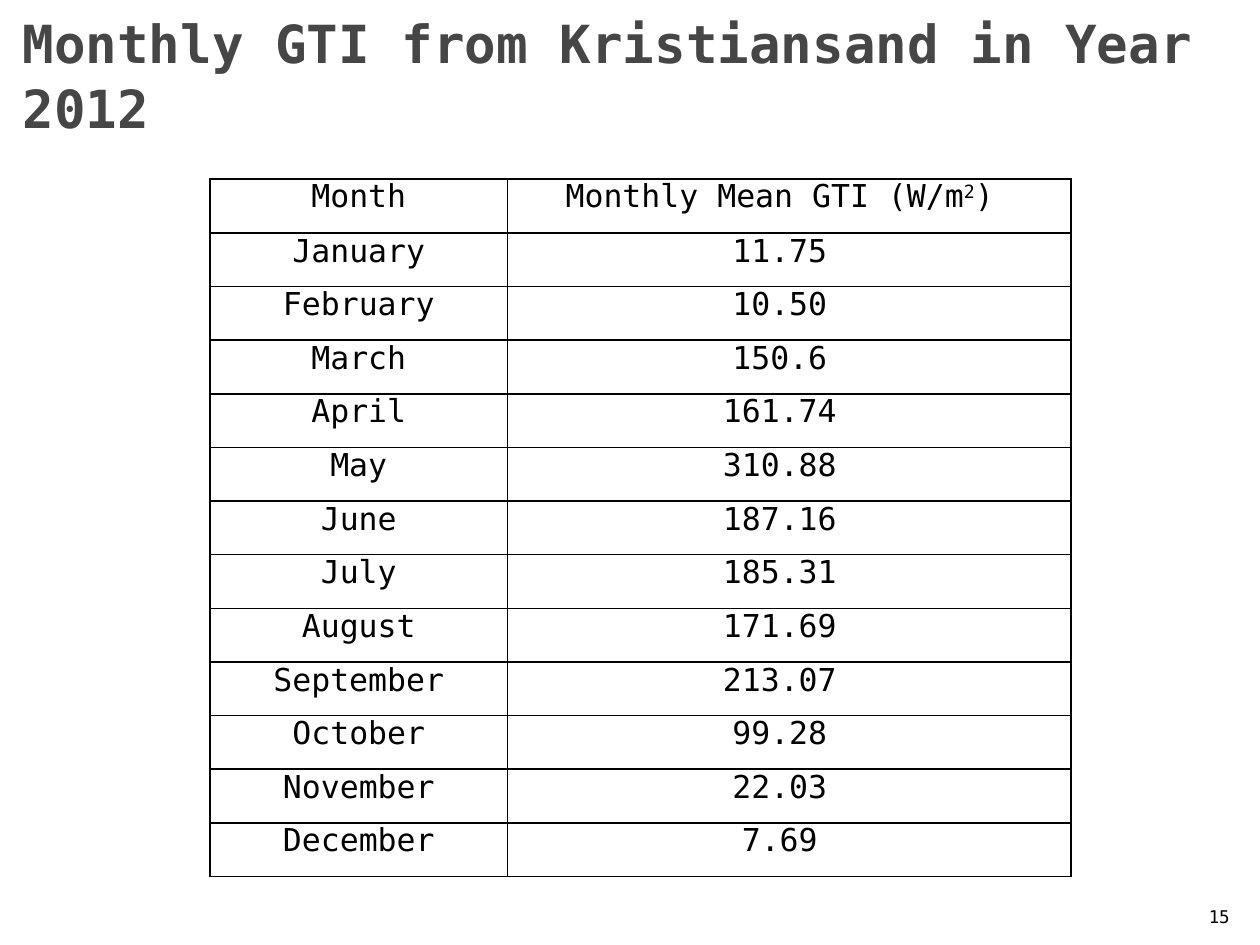
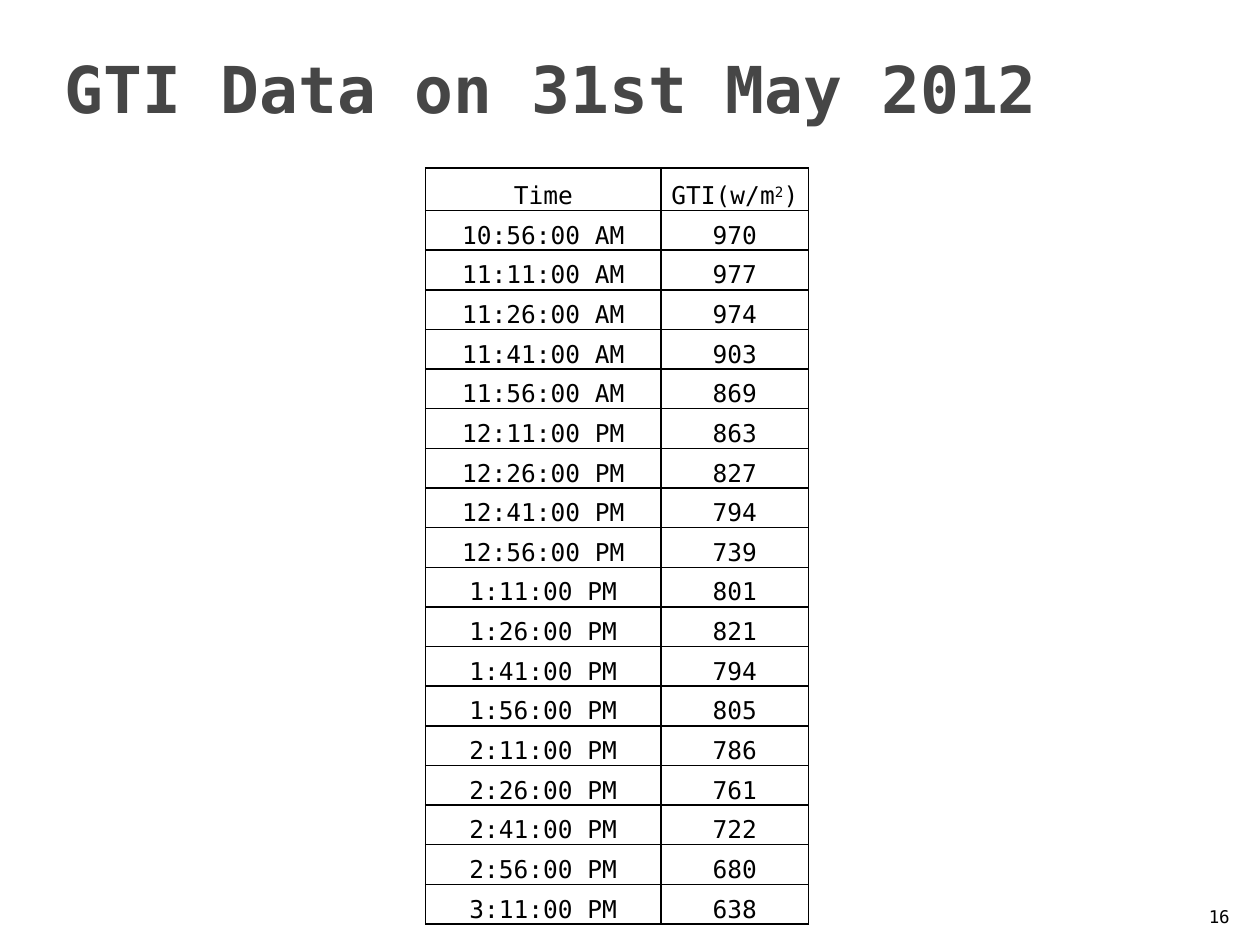
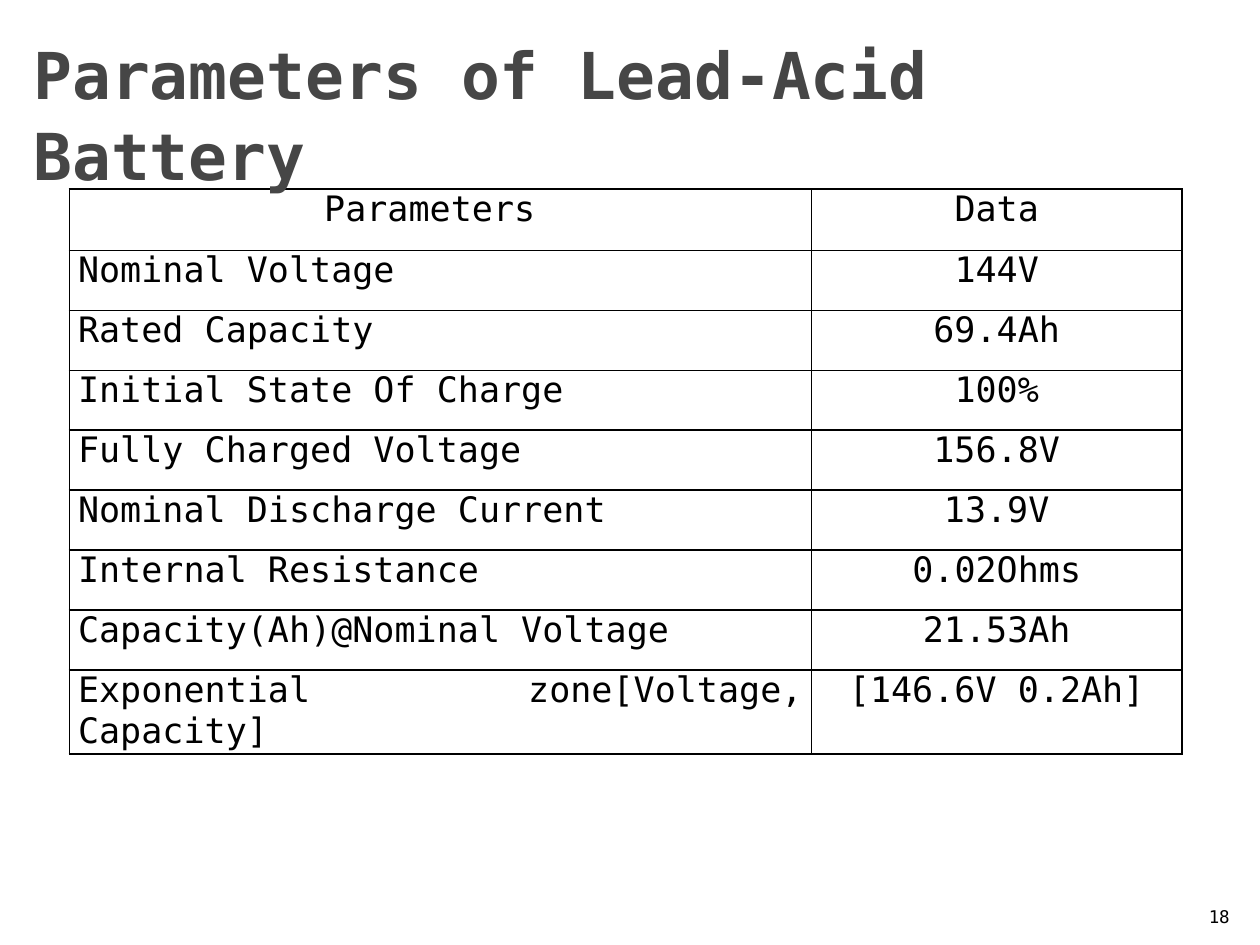
"""Builds three slides of solar irradiance and battery tables."""
from lxml import etree
from pptx import Presentation
from pptx import util as u
from pptx.dml.color import RGBColor
from pptx.enum import text as t
from pptx.oxml import ns

FONT = "DejaVu Sans Mono"
INK = {"title": "464646", "body": "000000"}
MID, TOP, LOW = t.MSO_ANCHOR.MIDDLE, t.MSO_ANCHOR.TOP, t.MSO_ANCHOR.BOTTOM
LEFT, MIDST, RIGHT, FULL = (t.PP_ALIGN.LEFT, t.PP_ALIGN.CENTER,
                            t.PP_ALIGN.RIGHT, t.PP_ALIGN.JUSTIFY)

MONTHS = [
    ("Month", "Monthly Mean GTI (W/m^2^) "),
    ("January", "11.75 "), ("February", "10.50 "), ("March", "150.6 "),
    ("April", "161.74 "), ("May", "310.88 "), ("June", "187.16 "),
    ("July", "185.31 "), ("August", "171.69 "), ("September", "213.07 "),
    ("October", "99.28 "), ("November", "22.03 "), ("December", "7.69 "),
]
TIMES = [
    ("Time", "GTI(w/m^2^)"),
    ("10:56:00 AM", "970"), ("11:11:00 AM", "977"), ("11:26:00 AM", "974"),
    ("11:41:00 AM", "903"), ("11:56:00 AM", "869"), ("12:11:00 PM", "863"),
    ("12:26:00 PM", "827"), ("12:41:00 PM", "794"), ("12:56:00 PM", "739"),
    ("1:11:00 PM", "801"), ("1:26:00 PM", "821"), ("1:41:00 PM", "794"),
    ("1:56:00 PM", "805"), ("2:11:00 PM", "786"), ("2:26:00 PM", "761"),
    ("2:41:00 PM", "722"), ("2:56:00 PM", "680"), ("3:11:00 PM", "638"),
]
CELLS = [
    ("Parameters ", "Data"),
    ("Nominal Voltage ", "144V"),
    ("Rated Capacity ", "69.4Ah"),
    ("Initial State Of Charge ", "100%"),
    ("Fully Charged Voltage ", "156.8V"),
    ("Nominal Discharge Current ", "13.9V"),
    ("Internal Resistance ", "0.02Ohms"),
    ("Capacity(Ah)@Nominal Voltage ", "21.53Ah"),
    ("Exponential zone[Voltage, Capacity] ", "[146.6V 0.2Ah]"),
]
SLIDES = [
    dict(page="15", title="Monthly GTI from Kristiansand in Year 2012",
         box=(5.8, 0, 714.2, 84), big=30,
         rows=MONTHS, at=(120, 102.2), cols=(170, 322), head=30.9, row=30.65,
         size=18, anchor=TOP, first=MIDST),
    dict(page="16", title="GTI Data on 31st May 2012",
         box=(30, 4.3, 648, 90), big=36.9,
         rows=TIMES, at=(243.2, 96), cols=(134.6, 84.3), head=24.3, row=22.65,
         size=14, anchor=LOW, first=MIDST),
    dict(page="18", title="Parameters of Lead-Acid Battery",
         box=(12, 19.3, 648, 90), big=36.9,
         rows=CELLS, at=(39.6, 108), cols=(424, 212), head=35.1, row=34.25,
         size=20, anchor=TOP, first=FULL),
]


def write(par, words, size, ink, align, bold=False):
    par.alignment = align
    for i, part in enumerate(words.split("^")):
        run = par.add_run()
        run.text = part
        font = run.font
        font.name, font.size, font.bold = FONT, u.Pt(size), bold
        font.color.rgb = RGBColor.from_string(INK[ink])
        if i % 2:
            run._r.get_or_add_rPr().set("baseline", "30000")


def add_box(slide, box, anchor, pad):
    frame = slide.shapes.add_textbox(*map(u.Pt, box)).text_frame
    frame.word_wrap = True
    frame.vertical_anchor = anchor
    frame.margin_top = frame.margin_bottom = u.Pt(pad)
    return frame.paragraphs[0]


def rule(cell):
    props = cell._tc.get_or_add_tcPr()
    for i, side in enumerate(("lnL", "lnR", "lnT", "lnB")):
        line = etree.Element(ns.qn("a:" + side), w=str(u.Pt(1)))
        fill = etree.SubElement(line, ns.qn("a:solidFill"))
        etree.SubElement(fill, ns.qn("a:srgbClr"), val=INK["body"])
        props.insert(i, line)


def add_grid(slide, data):
    rows, cols = data["rows"], data["cols"]
    highs = [data["head"]] + [data["row"]] * (len(rows) - 1)
    sizes = (*data["at"], sum(cols), sum(highs))
    grid = slide.shapes.add_table(len(rows), len(cols), *map(u.Pt, sizes)).table
    grid.first_row = grid.horz_banding = False
    for col, wide in zip(grid.columns, cols):
        col.width = u.Pt(wide)
    for r, (row, high) in enumerate(zip(rows, highs)):
        grid.rows[r].height = u.Pt(high)
        for c, words in enumerate(row):
            cell = grid.cell(r, c)
            cell.fill.background()
            cell.margin_left = cell.margin_right = u.Pt(5)
            cell.margin_top = cell.margin_bottom = 0
            cell.vertical_anchor = data["anchor"]
            align = data["first"] if r and not c else MIDST
            write(cell.text_frame.paragraphs[0], words, data["size"], "body", align)
            rule(cell)


def main():
    deck = Presentation()
    deck.slide_width, deck.slide_height = u.Pt(720), u.Pt(540)
    for data in SLIDES:
        slide = deck.slides.add_slide(deck.slide_layouts[6])
        add_grid(slide, data)
        page = add_box(slide, (681, 504.7, 28.8, 28.8), LOW, 3.6)
        write(page, data["page"], 10, "body", RIGHT)
        head = add_box(slide, data["box"], MID, 0)
        head.line_spacing = 1.04
        write(head, data["title"], data["big"], "title", LEFT, True)
    deck.save("out.pptx")


if __name__ == "__main__":
    main()
